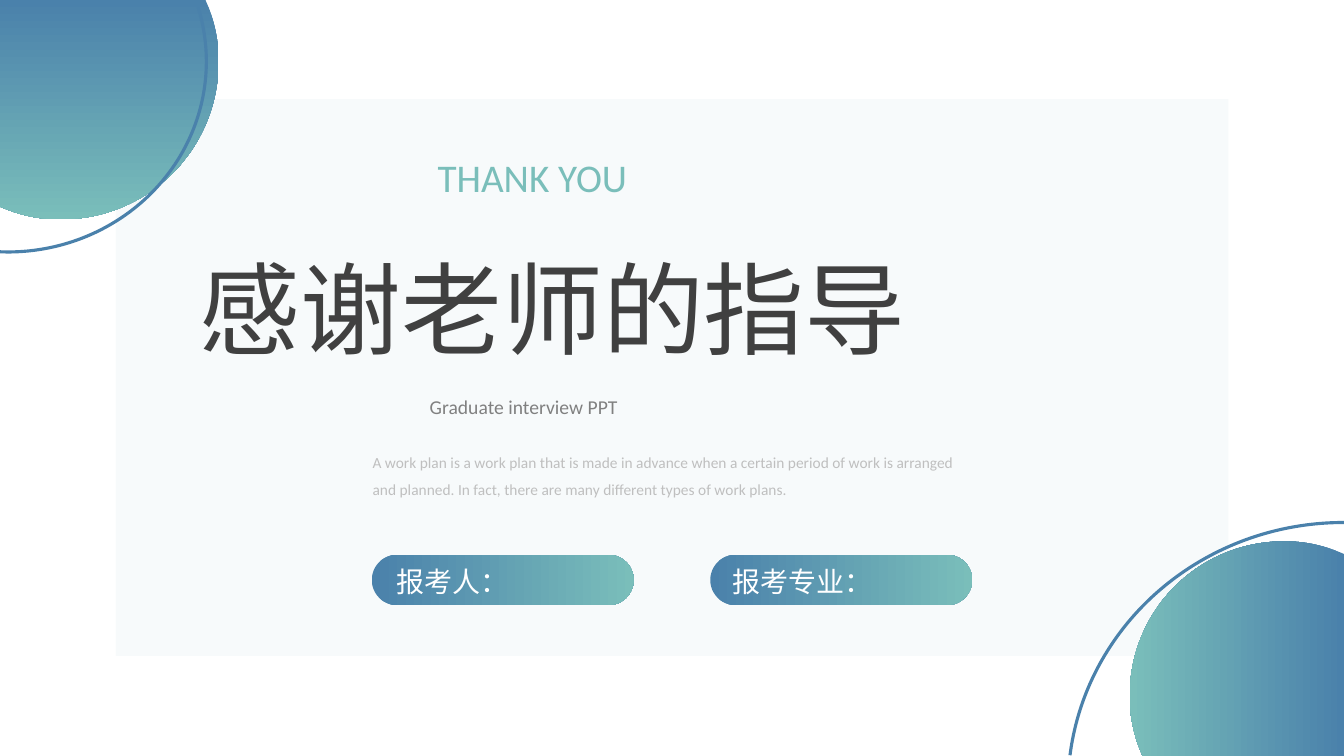
import lxml.etree
import pptx
import pptx.dml.color
import pptx.enum.shapes
import pptx.enum.text
import pptx.oxml.ns
import pptx.util

Cm = pptx.util.Cm
qn = pptx.oxml.ns.qn
SHAPES = pptx.enum.shapes.MSO_SHAPE
ALIGN = pptx.enum.text.PP_ALIGN
BLUE, TEAL = "4A81AB", "7ABEBA"
DISC_START, DISC_EDGE = (0, 0), (0.94, 0)
DISC_CURVES = (
    ((0.98, 0.09), (1, 0.18), (1, 0.28)),
    ((1, 0.68), (0.68, 1), (0.28, 1)),
    ((0.18, 1), (0.09, 0.98), (0, 0.94)),
)


def color(value):
    """Turn a hex string into a colour."""
    return pptx.dml.color.RGBColor.from_string(value)


def add_text(s, text, left, top, width, height, size=20, fill="FFFFFF",
             spacing=None, align=ALIGN.JUSTIFY):
    """Place a text box with one formatted paragraph."""
    tf = s.shapes.add_textbox(Cm(left), Cm(top), Cm(width), Cm(height)).text_frame
    tf.word_wrap = True
    tf.auto_size = pptx.enum.text.MSO_AUTO_SIZE.SHAPE_TO_FIT_TEXT
    p = tf.paragraphs[0]
    p.alignment = align
    if spacing:
        p.line_spacing = spacing
    r = p.add_run()
    r.text = text
    r.font.name = "Calibri"
    r.font.size = pptx.util.Pt(size)
    r.font.color.rgb = color(fill)


def add_shape(s, kind, left, top, width, height):
    """Add a preset shape without shadow or outline."""
    sp = s.shapes.add_shape(kind, Cm(left), Cm(top), Cm(width), Cm(height))
    sp.shadow.inherit = False
    sp.line.fill.background()
    return sp


def fill_gradient(sp, angle=0):
    """Fill a shape with the blue to teal gradient."""
    sp.fill.gradient()
    sp.fill.gradient_angle = angle
    for stop, value, position in zip(sp.fill.gradient_stops, (BLUE, TEAL), (0, 1)):
        stop.color.rgb = color(value)
        stop.position = position


def add_panel(s, left, top, width, height):
    """Draw the pale panel with its headings and pills."""
    sp = add_shape(s, SHAPES.ROUNDED_RECTANGLE, left, top, width, height)
    sp.adjustments[0] = 0
    sp.fill.solid()
    sp.fill.fore_color.rgb = color("6AAAB5")
    srgb = sp._element.spPr.find(".//" + qn("a:srgbClr"))
    lxml.etree.SubElement(srgb, qn("a:alpha"), val="5000")

    add_text(s, "感谢老师的指导", left + 1.87, top + 3.6, 24.28, 3.33, size=72, fill="404040")
    add_text(s, "Graduate interview PPT", left + 7.66, top + 7.33, 12.73, 0.86,
             size=14, fill="808080")
    add_text(s, "A work plan is a work plan that is made in advance when a certain period of "
             "work is arranged and planned. In fact, there are many different types of work plans. ",
             left + 6.22, top + 8.55, 15.6, 1.6, size=11, fill="BFBFBF", spacing=1.5,
             align=ALIGN.LEFT)
    add_text(s, "THANK YOU", left + 7.86, top + 1.24, 12.32, 1.45, size=28, fill=TEAL)
    for i, (label, inset) in enumerate((("报考人：", 0.37), ("报考专业：", 0.3))):
        add_pill(s, label, inset, left + 6.45 + 8.53 * i, top + 11.48, 6.6, 1.27)


def add_pill(s, label, inset, left, top, width, height):
    """Draw a gradient pill with its label."""
    sp = add_shape(s, SHAPES.ROUNDED_RECTANGLE, left, top, width, height)
    sp.adjustments[0] = 0.5
    fill_gradient(sp)
    add_text(s, label, left + inset, top + 0.12, width - 0.68, height - 0.15)


def add_disc(s, left, top, size, angle, rotation=0):
    """Draw a corner disc with curved sides in a square box."""
    def place(point):
        """Scale a point to the box."""
        return Cm(left + size * point[0]), Cm(top + size * point[1])

    builder = s.shapes.build_freeform(*place(DISC_START))
    builder.add_line_segments([place(DISC_EDGE)], close=False)
    for curve in DISC_CURVES:
        builder.add_line_segments([place(point) for point in curve], close=False)
    builder.add_line_segments([], close=True)
    sp = builder.convert_to_shape()

    lines = sp._element.spPr.findall(".//" + qn("a:lnTo"))[1:]
    for i in range(0, 3 * len(DISC_CURVES), 3):
        bezier = lxml.etree.Element(qn("a:cubicBezTo"))
        lines[i].addprevious(bezier)
        for line in lines[i:i + 3]:
            bezier.append(line[0])
            line.getparent().remove(line)

    sp.rotation = rotation
    sp.shadow.inherit = False
    sp.line.fill.background()
    fill_gradient(sp, angle)


def add_arc(s, left, top, width, height, rotation, start, end):
    """Draw a rotated arc between two angles in degrees."""
    sp = add_shape(s, SHAPES.ARC, left, top, width, height)
    sp.rotation = rotation
    sp.adjustments[0] = start * 0.6
    sp.adjustments[1] = end * 0.6
    sp.fill.background()
    sp.line.color.rgb = color(BLUE)
    sp.line.width = pptx.util.Pt(2.25)


def main():
    """Build and save the closing slide."""
    prs = pptx.Presentation()
    prs.slide_width, prs.slide_height = Cm(33.87), Cm(19.05)
    s = prs.slides.add_slide(prs.slide_layouts[6])
    add_panel(s, 2.92, 2.5, 28.04, 14.03)
    add_disc(s, -0.02, 0, 5.53, 270)
    add_arc(s, -4.6, -3.45, 9.6, 10, 90, 251.65, 2.86)
    add_disc(s, 28.47, 13.64, 5.41, 0, rotation=180)
    add_arc(s, 27.18, 12.9, 13.36, 13.89, 270, 276.74, 0.2)
    prs.save("out.pptx")


if __name__ == "__main__":
    main()
